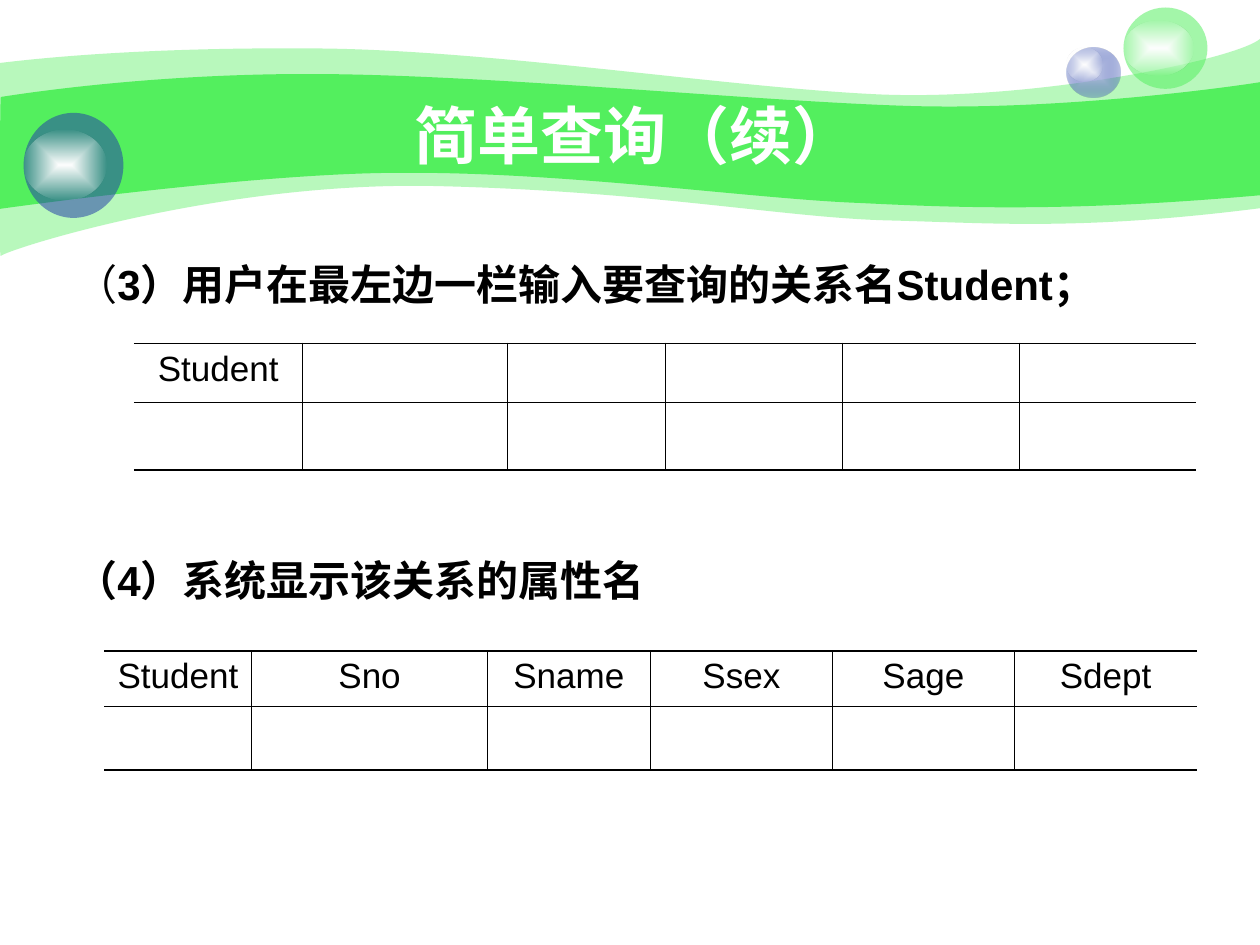
from dataclasses import dataclass
from typing import Any

from lxml import etree
from pptx import Presentation
from pptx.dml.color import RGBColor
from pptx.enum.shapes import MSO_SHAPE
from pptx.enum.text import MSO_ANCHOR, PP_ALIGN
from pptx.oxml.ns import qn
from pptx.util import Pt

OVAL = MSO_SHAPE.OVAL
CENTER = PP_ALIGN.CENTER
LEFT = PP_ALIGN.LEFT
MIDDLE = MSO_ANCHOR.MIDDLE
TOP = MSO_ANCHOR.TOP

GREEN, BLUE, PALE_BLUE = "53EF5E", "233DA9", "C7CEE9"
WHITE, BLACK = "FFFFFF", "000000"
THIN, THICK = 0.45, 1.08

Point = tuple[float, float]


@dataclass
class Band:
    """Each segment holds one point for a line, or three for a cubic curve."""
    start: Point
    segments: list[tuple[Point, ...]]
    opacity: int


@dataclass
class Stop:
    position: int
    color: str
    opacity: int = 100


@dataclass
class Disc:
    left: float
    top: float
    width: float
    height: float
    stops: list[Stop]


@dataclass
class Span:
    text: str
    bold: bool


@dataclass
class TextBlock:
    left: float
    top: float
    width: float
    height: float
    paragraphs: list[list[Span]]
    size: float
    color: str = BLACK
    align: Any = LEFT
    anchor: Any = TOP
    hanging: float = 0
    gap: float = 0


@dataclass
class Grid:
    left: float
    top: float
    columns: list[float]
    rows: list[float]
    header: list[str]


GLOW = [Stop(0, WHITE), Stop(100, WHITE, 0)]

BANDS = [
    Band((0, 36),
         [((17, 34), (77, 27), (178, 27.7)),
          ((278, 28), (414, 50), (503, 54)),
          ((592, 57.6), (706, 34), (720, 22.3)),
          ((720, 119),),
          ((618, 132), (567, 127.5), (507.5, 126)),
          ((448, 124.5), (371, 109), (247, 106.3)),
          ((124, 104), (3, 143), (0.5, 146.3)),
          ((-0.7, 150), (0, 54), (0, 36))], 41),
    Band((0.5, 55.4),
         [((1.4, 55.4), (79, 42), (178.5, 42.3)),
          ((278, 42.5), (428, 57.6), (517, 60.5)),
          ((605.5, 63.4), (703, 49.7), (720, 47)),
          ((720, 111.6),),
          ((614, 121), (551, 119), (491, 116)),
          ((431, 113.8), (322, 98), (228, 98.8)),
          ((146, 98.8), (-1.4, 119.5), (-1, 119.5)),
          ((0, 119.5), (0, 55.4), (0.5, 55.4))], 100),
]

DISCS = [
    Disc(609.5, 27, 31, 29, [Stop(0, PALE_BLUE), Stop(100, BLUE, 31)]),
    Disc(609.5, 27, 20.5, 19.5, GLOW),
    Disc(642, 4.3, 48, 46.5, [Stop(0, GREEN, 53)]),
    Disc(642, 12, 40, 31, GLOW),
    Disc(13.5, 64.5, 57, 60, [Stop(0, BLUE, 53)]),
    Disc(13.5, 74, 47.5, 40.5, GLOW),
]

TEXTS = [
    TextBlock(72, 54, 582, 45, [[Span("简单查询（续）", True)]], 36, WHITE, CENTER, MIDDLE),
    TextBlock(36, 144, 653, 354,
              [[Span("（", False), Span("3）用户在最左边一栏输入要查询的关系名Student；", True)],
               [Span("（4）系统显示该关系的属性名", True)]],
              24, hanging=27, gap=140.4),
]

GRIDS = [
    Grid(76.5, 196.2, [96.4, 117, 90.4, 101, 101.4, 100.7], [33.7, 38.5], ["Student"]),
    Grid(59.6, 372, [84.2, 134.8, 93, 104.2, 103.9, 104.4], [31.7, 36.2],
         ["Student", "Sno", "Sname", "Ssex", "Sage", "Sdept"]),
]


def rgb(color: str) -> RGBColor:
    return RGBColor.from_string(color)


def set_format(target: Any, values: dict[str, Any]) -> None:
    for name, value in values.items():
        setattr(target, name, value)


def add_color(parent: Any, color: str, opacity: int) -> None:
    node = etree.SubElement(parent, qn("a:srgbClr"), val=str(rgb(color)))
    if opacity < 100:
        etree.SubElement(node, qn("a:alpha"), val=str(opacity * 1000))


def paint(shape: Any, stops: list[Stop]) -> None:
    """Fill with one flat colour, or with a gradient running out from the centre."""
    shape.shadow.inherit = False
    shape.line.fill.background()
    if len(stops) == 1:
        fill = etree.Element(qn("a:solidFill"))
        add_color(fill, stops[0].color, stops[0].opacity)
    else:
        fill = etree.Element(qn("a:gradFill"), rotWithShape="1")
        stop_list = etree.SubElement(fill, qn("a:gsLst"))
        for stop in stops:
            node = etree.SubElement(stop_list, qn("a:gs"), pos=str(stop.position * 1000))
            add_color(node, stop.color, stop.opacity)
        center = etree.SubElement(fill, qn("a:path"), path="rect")
        etree.SubElement(center, qn("a:fillToRect"), l="50000", t="50000", r="50000", b="50000")
    shape.fill.background()
    empty_fill = shape._element.spPr.find(qn("a:noFill"))
    empty_fill.getparent().replace(empty_fill, fill)


def draw_band(page: Any, band: Band) -> None:
    """Build the outline from its corner points, then bend the curved sides."""
    builder = page.shapes.build_freeform(Pt(band.start[0]), Pt(band.start[1]), scale=1.0)
    builder.add_line_segments([(Pt(x), Pt(y)) for *_, (x, y) in band.segments], close=True)
    shape = builder.convert_to_shape()
    sides = list(shape._element.iter(qn("a:lnTo")))
    for side, segment in zip(sides, band.segments):
        if len(segment) == 3:
            curve = etree.Element(qn("a:cubicBezTo"))
            for x, y in segment:
                etree.SubElement(curve, qn("a:pt"), x=str(Pt(x) - shape.left), y=str(Pt(y) - shape.top))
            side.getparent().replace(side, curve)
    paint(shape, [Stop(0, GREEN, band.opacity)])


def draw_disc(page: Any, disc: Disc) -> None:
    shape = page.shapes.add_shape(OVAL, Pt(disc.left), Pt(disc.top), Pt(disc.width), Pt(disc.height))
    paint(shape, disc.stops)


def write(paragraph: Any, span: Span, size: float, color: str) -> None:
    run = paragraph.add_run()
    run.text = span.text
    set_format(run.font, {"name": "Arial", "size": Pt(size), "bold": span.bold})
    run.font.color.rgb = rgb(color)


def draw_text(page: Any, block: TextBlock) -> None:
    box = page.shapes.add_textbox(Pt(block.left), Pt(block.top), Pt(block.width), Pt(block.height))
    frame = box.text_frame
    set_format(frame, {"word_wrap": True, "vertical_anchor": block.anchor})
    for index, spans in enumerate(block.paragraphs):
        paragraph = frame.add_paragraph() if index else frame.paragraphs[0]
        paragraph.alignment = block.align
        if index:
            paragraph.space_before = Pt(block.gap)
        if block.hanging:
            properties = paragraph._p.get_or_add_pPr()
            properties.set("marL", str(Pt(block.hanging)))
            properties.set("indent", str(Pt(-block.hanging)))
        for span in spans:
            write(paragraph, span, block.size, block.color)


def set_borders(cell: Any, widths: dict[str, float]) -> None:
    properties = cell._tc.get_or_add_tcPr()
    for side, width in widths.items():
        line = etree.SubElement(properties, qn(f"a:ln{side}"), w=str(Pt(width)))
        if width:
            add_color(etree.SubElement(line, qn("a:solidFill")), BLACK, 100)
        else:
            etree.SubElement(line, qn("a:noFill"))


def draw_grid(page: Any, grid: Grid) -> None:
    last_row, last_column = len(grid.rows) - 1, len(grid.columns) - 1
    table = page.shapes.add_table(len(grid.rows), len(grid.columns), Pt(grid.left), Pt(grid.top),
                                  Pt(sum(grid.columns)), Pt(sum(grid.rows))).table
    set_format(table, {"first_row": False, "horz_banding": False})
    for column, width in zip(table.columns, grid.columns):
        column.width = Pt(width)
    for r, height in enumerate(grid.rows):
        table.rows[r].height = Pt(height)
        for c in range(len(grid.columns)):
            cell = table.cell(r, c)
            set_borders(cell, {"L": THIN if c else 0, "R": THIN if c < last_column else 0,
                               "T": THIN if r else THICK, "B": THIN if r < last_row else THICK})
            cell.fill.background()
    for c, name in enumerate(grid.header):
        paragraph = table.cell(0, c).text_frame.paragraphs[0]
        paragraph.alignment = CENTER
        write(paragraph, Span(name, False), 20, BLACK)


def main() -> None:
    deck = Presentation()
    set_format(deck, {"slide_width": Pt(720), "slide_height": Pt(540)})
    page = deck.slides.add_slide(deck.slide_layouts[6])
    for draw, items in ((draw_band, BANDS), (draw_disc, DISCS), (draw_text, TEXTS), (draw_grid, GRIDS)):
        for item in items:
            draw(page, item)
    deck.save("out.pptx")


if __name__ == "__main__":
    main()
